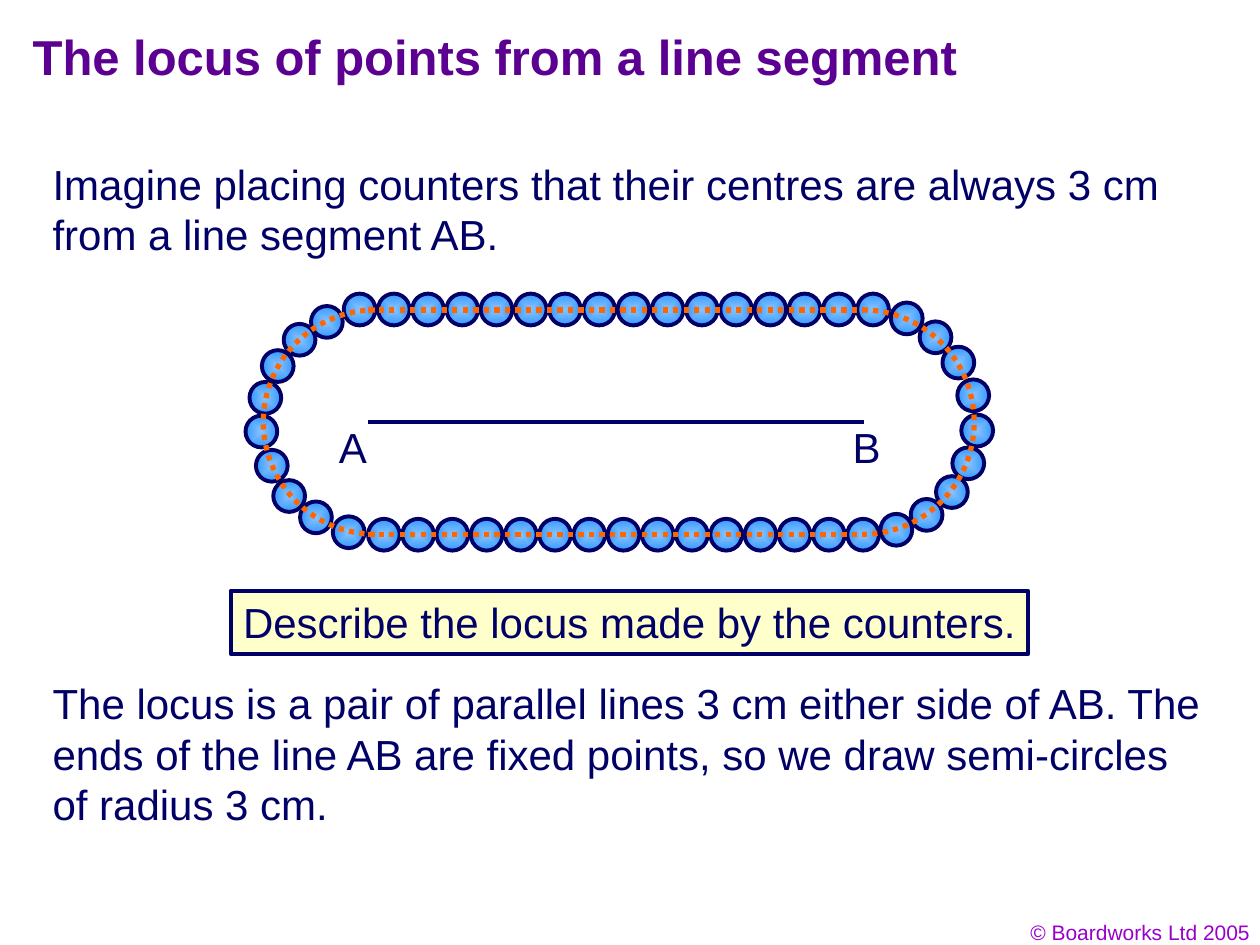
from pptx import Presentation
from pptx.dml.color import RGBColor
from pptx.enum.dml import MSO_LINE
from pptx.enum.shapes import MSO_CONNECTOR, MSO_SHAPE
from pptx.enum.text import MSO_ANCHOR, PP_ALIGN
from pptx.oxml import parse_xml
from pptx.oxml.ns import nsdecls, qn
from pptx.util import Cm, Pt

NAVY = RGBColor(0x00, 0x00, 0x66)
PURPLE = RGBColor(0x5B, 0x00, 0x91)
VIOLET = RGBColor(0x99, 0x00, 0xCC)
ORANGE = RGBColor(0xFF, 0x66, 0x00)
CREAM = RGBColor(0xFF, 0xFF, 0xCC)
LIGHT_BLUE = RGBColor(0x89, 0xC3, 0xFE)
BLUE = RGBColor(0x33, 0x99, 0xFF)

deck = Presentation()
deck.slide_width, deck.slide_height = Cm(25.4), Cm(19.05)
page = deck.slides.add_slide(deck.slide_layouts[6])


def write(box, text, size=24, color=NAVY, bold=False, align=PP_ALIGN.LEFT, wrap=True):
    frame = box.text_frame
    frame.word_wrap = wrap
    frame.vertical_anchor = MSO_ANCHOR.TOP
    para = frame.paragraphs[0]
    para.alignment = align
    span = para.add_run()
    span.text = text
    span.font.name = "Arial"
    span.font.size = Pt(size)
    span.font.bold = bold
    span.font.color.rgb = color


def draw_line(left, right, y, color, width, dash=None):
    line = page.shapes.add_connector(
        MSO_CONNECTOR.STRAIGHT, Cm(left), Cm(y), Cm(right), Cm(y))
    line.line.color.rgb = color
    line.line.width = Pt(width)
    line.line.dash_style = dash
    line._element.spPr.append(parse_xml(f"<a:effectLst {nsdecls('a')}/>"))


# Copyright, title and introduction
write(page.shapes.add_textbox(Cm(19.53), Cm(18.42), Cm(5.92), Cm(0.76)),
      "© Boardworks Ltd 2005", 12, VIOLET, align=PP_ALIGN.RIGHT)
write(page.shapes.add_textbox(Cm(0.41), Cm(0.41), Cm(20.42), Cm(1.75)),
      "The locus of points from a line segment", 28, PURPLE, bold=True)
write(page.shapes.add_textbox(Cm(0.81), Cm(3.07), Cm(23.75), Cm(2.29)),
      "Imagine placing counters that their centres are always 3 cm "
      "from a line segment AB.")

# Counters: two even rows and the two rounded ends
top_row = [(6.93 + 0.69 * i, 5.92) for i in range(16)]
bottom_row = [(7.42 + 0.69 * i, 10.46) for i in range(15)]
left_end = [(6.27, 6.17), (5.72, 6.53), (5.28, 7.06), (5.03, 7.7), (4.95, 8.38),
            (5.16, 9.07), (5.51, 9.68), (6.05, 10.11), (6.71, 10.41)]
right_end = [(17.96, 6.1), (18.54, 6.48), (19, 6.99), (19.3, 7.65), (19.38, 8.36),
             (19.2, 9.02), (18.87, 9.6), (18.36, 10.06), (17.75, 10.36)]
for x, y in top_row + bottom_row + left_end + right_end:
    counter = page.shapes.add_shape(MSO_SHAPE.OVAL, Cm(x), Cm(y), Cm(0.64), Cm(0.64))
    counter.shadow.inherit = False
    counter.line.color.rgb = NAVY
    counter.line.width = Pt(2.25)
    counter.fill.gradient()
    for stop, color in zip(counter.fill.gradient_stops, (LIGHT_BLUE, BLUE)):
        stop.color.rgb = color
    gradient = counter._element.spPr.find(qn("a:gradFill"))
    gradient.remove(gradient.find(qn("a:lin")))
    gradient.append(parse_xml(
        f'<a:path {nsdecls("a")} path="rect">'
        '<a:fillToRect l="50000" t="50000" r="50000" b="50000"/></a:path>'))

# Segment AB
for letter, x in (("A", 6.58), ("B", 16.94)):
    write(page.shapes.add_textbox(Cm(x), Cm(8.38), Cm(1.07), Cm(1.27)),
          letter, wrap=False)
draw_line(7.42, 17.42, 8.51, NAVY, 2.25)

# Dotted locus: parallel lines joined by semicircles (angles in 100000ths)
for y in (6.25, 10.77):
    draw_line(7.42, 17.42, y, ORANGE, 3, MSO_LINE.ROUND_DOT)
for x, start, end in ((5.31, 54, 162), (15.14, 162, 54)):
    arc = page.shapes.add_shape(MSO_SHAPE.ARC, Cm(x), Cm(6.25), Cm(4.5), Cm(4.52))
    arc.adjustments[0], arc.adjustments[1] = start, end
    arc.shadow.inherit = False
    arc.fill.background()
    arc.line.color.rgb = ORANGE
    arc.line.width = Pt(3)
    arc.line.dash_style = MSO_LINE.ROUND_DOT

# Question and answer
question = page.shapes.add_shape(
    MSO_SHAPE.RECTANGLE, Cm(4.65), Cm(11.91), Cm(16.08), Cm(1.27))
question.shadow.inherit = False
question.fill.solid()
question.fill.fore_color.rgb = CREAM
question.line.color.rgb = NAVY
question.line.width = Pt(2.25)
write(question, "Describe the locus made by the counters.", wrap=False)
write(page.shapes.add_textbox(Cm(0.81), Cm(13.54), Cm(23.75), Cm(3.3)),
      "The locus is a pair of parallel lines 3 cm either side of AB. "
      "The ends of the line AB are fixed points, so we draw semi-circles "
      "of radius 3 cm.")

deck.save("out.pptx")
